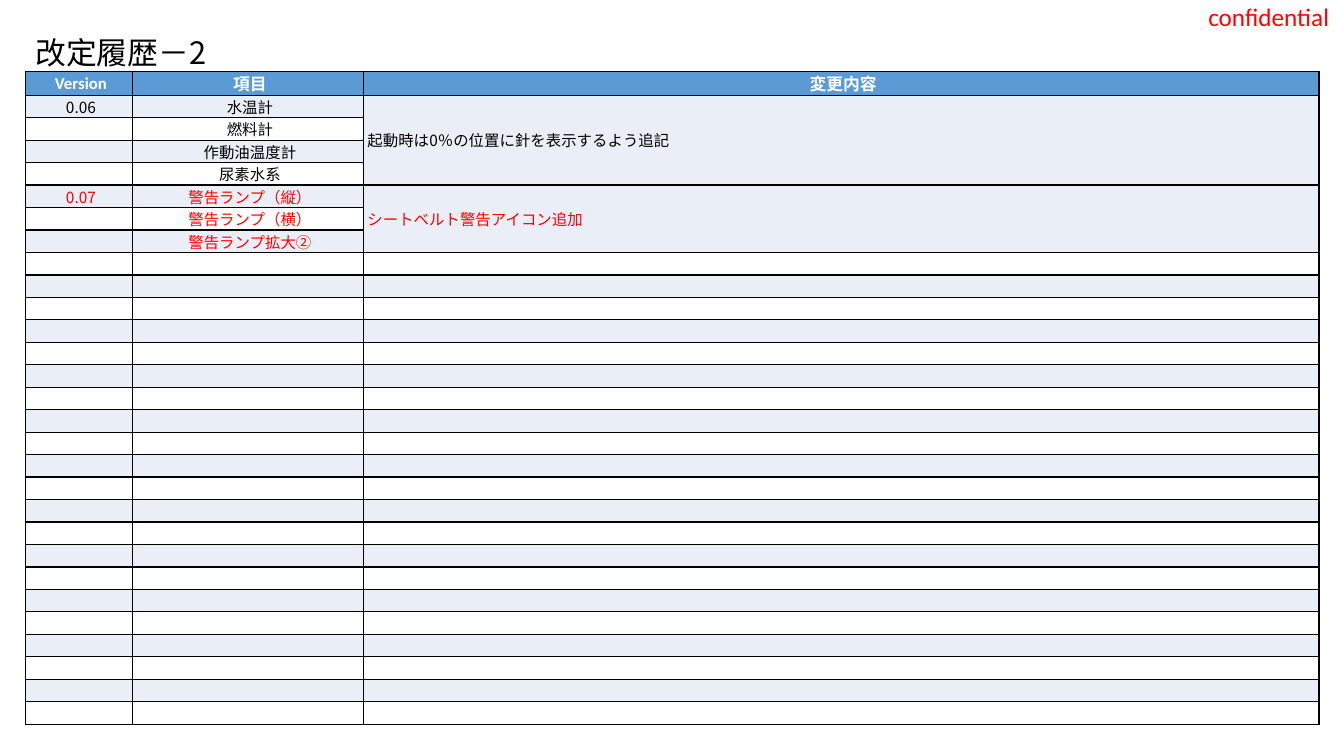
from lxml.etree import SubElement
from pptx import Presentation
from pptx.dml.color import RGBColor
from pptx.enum.text import MSO_ANCHOR, MSO_AUTO_SIZE, PP_ALIGN
from pptx.oxml.ns import qn
from pptx.util import Cm, Pt

BLACK = RGBColor(0x00, 0x00, 0x00)
WHITE = RGBColor(0xFF, 0xFF, 0xFF)
RED = RGBColor(0xFF, 0x00, 0x00)
HEADER_BLUE = RGBColor(0x5B, 0x9B, 0xD5)
BAND_BLUE = RGBColor(0xEA, 0xEF, 0xF7)
LATIN_FONT = "Calibri"
JAPANESE_FONT = "Noto Sans CJK JP"

HEADINGS = ["Version", "項目", "変更内容"]
REVISIONS = [
    ("0.06", ["水温計", "燃料計", "作動油温度計", "尿素水系"],
     "起動時は0％の位置に針を表示するよう追記", BLACK),
    ("0.07", ["警告ランプ（縦）", "警告ランプ（横）", "警告ランプ拡大②"],
     "シートベルト警告アイコン追加", RED),
]
BODY_ROWS = 28
COLUMN_WIDTHS = [2.7, 5.82, 24.08]


def write_text(paragraph, text, size, color, name=JAPANESE_FONT, bold=False):
    run = paragraph.add_run()
    run.text = text
    run.font.color.rgb = color
    for attribute, value in {"size": Pt(size), "name": name, "bold": bold}.items():
        setattr(run.font, attribute, value)
    SubElement(run.font._element, qn("a:ea"), typeface=JAPANESE_FONT)


def format_cell(cell, fill_color):
    cell_format = {
        "vertical_anchor": MSO_ANCHOR.MIDDLE,
        "margin_left": Cm(0.1),
        "margin_right": 0,
        "margin_top": 0,
        "margin_bottom": 0,
    }
    for attribute, value in cell_format.items():
        setattr(cell, attribute, value)
    properties = cell._tc.get_or_add_tcPr()
    for side in ("lnL", "lnR", "lnT", "lnB"):
        border = SubElement(properties, qn(f"a:{side}"), w=str(Pt(1)))
        border_fill = SubElement(border, qn("a:solidFill"))
        SubElement(border_fill, qn("a:srgbClr"), val=str(BLACK))
    cell.fill.solid()
    cell.fill.fore_color.rgb = fill_color


presentation = Presentation()
presentation.slide_width = Cm(33.87)
presentation.slide_height = Cm(19.05)
slide = presentation.slides.add_slide(presentation.slide_layouts[5])

confidential = slide.shapes.add_textbox(Cm(30.2), Cm(-0.08), Cm(3.66), Cm(1.02))
confidential.text_frame.word_wrap = False
write_text(confidential.text_frame.paragraphs[0], "confidential", 18, RED, LATIN_FONT)

title = slide.shapes.title
title_place = {"left": Cm(0.64), "top": Cm(0.81), "width": Cm(29.21), "height": Cm(1.12)}
for attribute, value in title_place.items():
    setattr(title, attribute, value)
title_format = {
    "vertical_anchor": MSO_ANCHOR.MIDDLE,
    "auto_size": MSO_AUTO_SIZE.NONE,
    "word_wrap": True,
}
for attribute, value in title_format.items():
    setattr(title.text_frame, attribute, value)
title_paragraph = title.text_frame.paragraphs[0]
title_paragraph.alignment = PP_ALIGN.LEFT
title_paragraph.line_spacing = 0.9
write_text(title_paragraph, "改定履歴－2", 22, BLACK)

table_frame = slide.shapes.add_table(
    BODY_ROWS + 1, len(HEADINGS), Cm(0.64), Cm(1.8), Cm(sum(COLUMN_WIDTHS)), Cm(16.46))
table = table_frame.table
for column, width in zip(table.columns, COLUMN_WIDTHS):
    column.width = Cm(width)
for row_index, row in enumerate(table.rows):
    row.height = Cm(15.86) // BODY_ROWS if row_index else Cm(0.6)
    band_color = BAND_BLUE if row_index % 2 else WHITE
    for cell in row.cells:
        format_cell(cell, band_color if row_index else HEADER_BLUE)

for column_index, heading in enumerate(HEADINGS):
    paragraph = table.cell(0, column_index).text_frame.paragraphs[0]
    paragraph.alignment = PP_ALIGN.CENTER
    write_text(paragraph, heading, 12, WHITE, LATIN_FONT, True)

first_row = 1
for version, items, change, color in REVISIONS:
    last_row = first_row + len(items) - 1
    change_cell = table.cell(first_row, 2)
    change_cell.merge(table.cell(last_row, 2))
    write_text(change_cell.text_frame.paragraphs[0], change, 11, color)
    centred = [(first_row, 0, version)]
    centred += [(first_row + offset, 1, item) for offset, item in enumerate(items)]
    for row_index, column_index, text in centred:
        paragraph = table.cell(row_index, column_index).text_frame.paragraphs[0]
        paragraph.alignment = PP_ALIGN.CENTER
        write_text(paragraph, text, 11, color)
    first_row = last_row + 1

for cell in table.iter_cells():
    if not cell.text_frame.text:
        paragraph = cell.text_frame.paragraphs[0]
        SubElement(paragraph._p, qn("a:endParaRPr"), sz="1100")

presentation.save("out.pptx")
